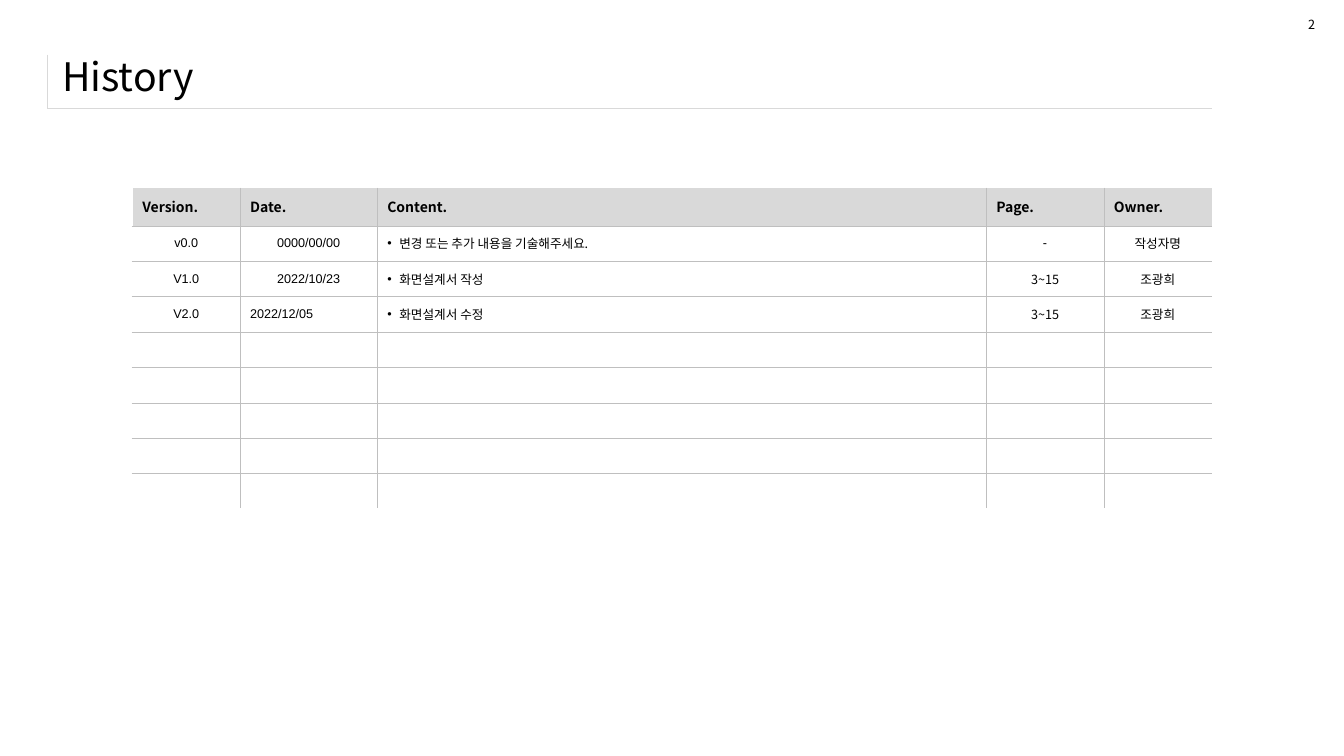
import pptx
import pptx.dml.color
import pptx.enum.text
import pptx.oxml.ns
import pptx.util
from lxml import etree

Pt = pptx.util.Pt
RGB = pptx.dml.color.RGBColor.from_string
ALIGN = pptx.enum.text.PP_ALIGN
MIDDLE = pptx.enum.text.MSO_ANCHOR.MIDDLE
qn = pptx.oxml.ns.qn


class Theme:
    ink, white = "000000", "FFFFFF"
    rule, head, grid = "D9D9D9", "D9D9D9", "BFBFBF"
    sans, latin = "Noto Sans CJK KR", "Arial"
    title, label, body = 28, 10, 9
    thin, thick = 0.25, 1


class Deck:
    """Hold the theme and the current slide, and draw each kind of element."""

    def __init__(self, theme):
        self.theme = theme
        self.file = pptx.Presentation()
        self.file.slide_width, self.file.slide_height = Pt(960), Pt(540)
        self.slide = self.file.slides.add_slide(self.file.slide_layouts[6])

    def label(self, para, text, size, face=None, bold=False, align=ALIGN.LEFT):
        para.alignment = align
        if not text:
            etree.SubElement(para._p, qn("a:endParaRPr"), sz=str(size * 100))
            return
        run = para.add_run()
        run.text = text
        form = {"name": face or self.theme.sans, "size": Pt(size), "bold": bold}
        for key, value in form.items():
            setattr(run.font, key, value)
        run.font.color.rgb = RGB(self.theme.ink)
        east = etree.Element(qn("a:ea"), typeface=self.theme.sans)
        run.font._element.find(qn("a:latin")).addnext(east)

    def text(self, box, text, size, wrap=True):
        frame = self.slide.shapes.add_textbox(*map(Pt, box)).text_frame
        form = {"word_wrap": wrap, "vertical_anchor": MIDDLE}
        for key, value in form.items():
            setattr(frame, key, value)
        self.label(frame.paragraphs[0], text, size)

    def table(self, left, top, cols, rows):
        size = len(rows), len(cols)
        box = map(Pt, (left, top, sum(cols), sum(rows)))
        table = self.slide.shapes.add_table(*size, *box).table
        for key in ("first_row", "horz_banding"):
            setattr(table, key, False)
        for col, width in zip(table.columns, cols):
            col.width = Pt(width)
        for row, height in zip(table.rows, rows):
            row.height = Pt(height)
        return table

    def cell(self, cell, edges, fill=None):
        props = cell._tc.get_or_add_tcPr()
        for side in "LRTB":
            color, width = edges.get(side, (None, 0))
            line = etree.SubElement(props, qn(f"a:ln{side}"), w=str(Pt(width)))
            if color:
                solid = etree.SubElement(line, qn("a:solidFill"))
                etree.SubElement(solid, qn("a:srgbClr"), val=color)
            else:
                etree.SubElement(line, qn("a:noFill"))
        if fill:
            cell.fill.solid()
            cell.fill.fore_color.rgb = RGB(fill)
        else:
            cell.fill.background()
        cell.vertical_anchor = MIDDLE

    def bullet(self, para):
        props = para._p.get_or_add_pPr()
        for key, value in {"marL": Pt(8.6), "indent": Pt(-8.6)}.items():
            props.set(key, str(value))
        etree.SubElement(props, qn("a:buFont"), typeface=self.theme.latin)
        etree.SubElement(props, qn("a:buChar"), char="•")

    def rule(self):
        line = self.theme.rule, self.theme.thin
        table = self.table(34, 39, [832], [38.2])
        self.cell(table.cell(0, 0), {"L": line, "B": line})

    def log(self, heads, notes, count):
        look = self.theme
        grid, blank = (look.grid, look.thin), (look.white, look.thick)
        table = self.table(94.5, 134, [77, 98, 435, 84, 77], [27.3] + [25.3] * count)
        data = [heads, *notes] + [[""] * len(heads)] * (count - len(notes))
        end = len(heads) - 1
        for y, row in enumerate(data):
            for x, text in enumerate(row):
                cell = table.cell(y, x)
                edges = {"L": grid if x else blank, "B": grid if y < count else blank}
                if x < end:
                    edges["R"] = grid
                if y:
                    edges["T"] = grid
                self.cell(cell, edges, None if y else look.head)
                para = cell.text_frame.paragraphs[0]
                if not y:
                    self.label(para, text, look.label, bold=True)
                    continue
                face = look.latin if x < 2 or text == "-" else look.sans
                align = ALIGN.LEFT if x == 2 else ALIGN.CENTER
                self.label(para, text, look.body, face, align=align)
                if x == 2 and text:
                    self.bullet(para)
        return table


def main():
    deck = Deck(Theme)
    deck.rule()
    deck.text((37.4, 31.7, 899, 45.4), "History", Theme.title)
    heads = ["Version.", "Date.", "Content.", "Page.", "Owner."]
    notes = [
        ["v0.0", "0000/00/00", "변경 또는 추가 내용을 기술해주세요.", "-", "작성자명"],
        ["V1.0", "2022/10/23", "화면설계서 작성", "3~15", "조광희"],
        ["V2.0", "2022/12/05", "화면설계서 수정", "3~15", "조광희"],
    ]
    table = deck.log(heads, notes, 8)
    table.cell(3, 1).text_frame.paragraphs[0].alignment = ALIGN.LEFT
    deck.text((927.4, 8.6, 19.4, 18), "2", Theme.body, wrap=False)
    deck.file.save("out.pptx")


if __name__ == "__main__":
    main()
